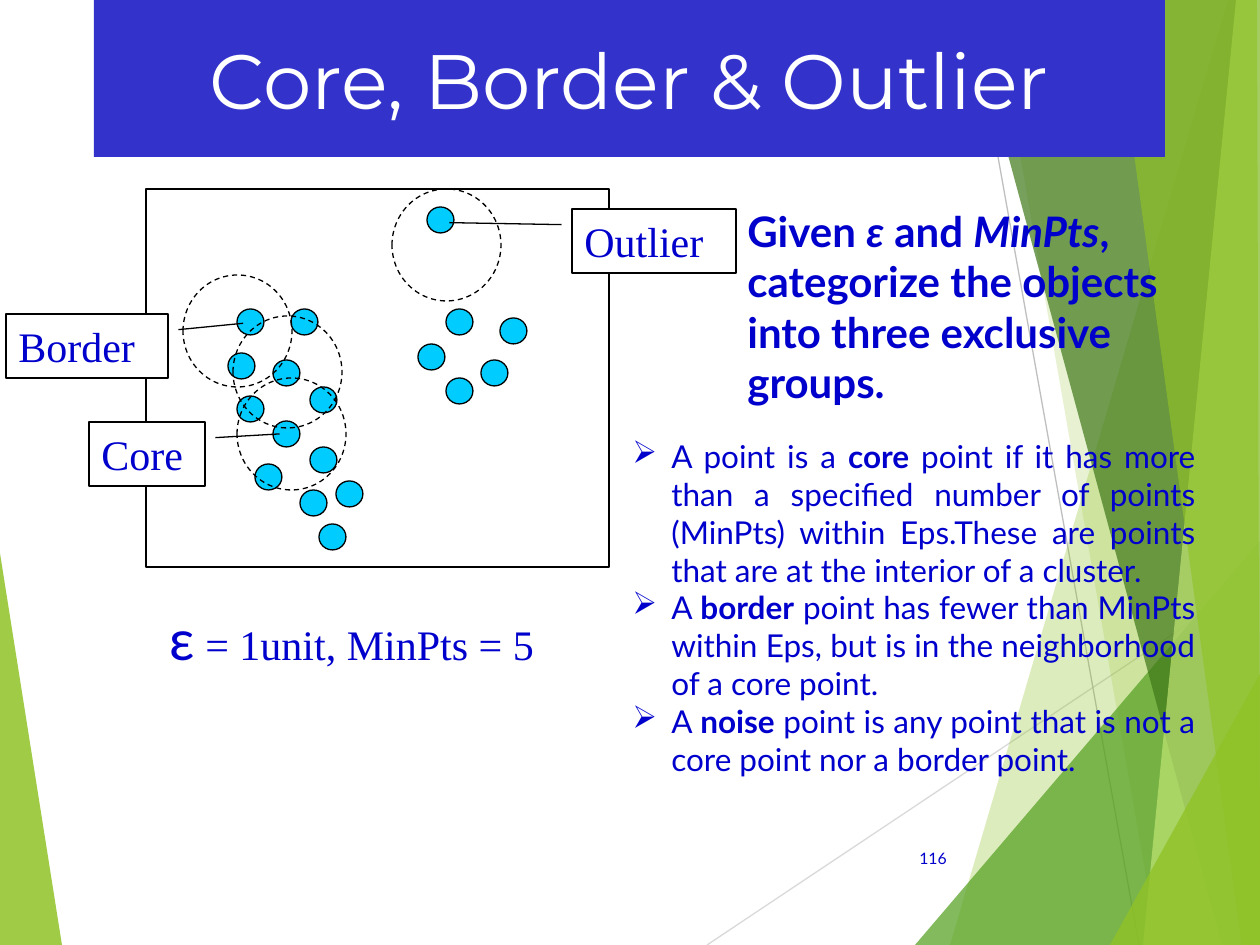
from typing import NamedTuple

from lxml.etree import SubElement
from pptx import Presentation
from pptx.dml.color import RGBColor
from pptx.enum.dml import MSO_LINE
from pptx.enum.shapes import MSO_CONNECTOR, MSO_SHAPE
from pptx.enum.text import MSO_ANCHOR, PP_ALIGN
from pptx.oxml.ns import qn
from pptx.util import Emu, Pt

SCALE = 914400 / 126
WIDE, HIGH = 1260, 945
COLORS = {
    "lime": "90C226", "leaf": "54A021", "moss": "3F7819", "pale": "C0E474",
    "light": "D9D9D9", "gray": "BFBFBF", "title": "3333CC", "text": "0000CC",
    "dot": "00CCFF", "black": "000000", "white": "FFFFFF",
}


class Box(NamedTuple):
    left: int
    top: int
    width: int
    height: int


class Shard(NamedTuple):
    color: str
    alpha: int
    points: list[tuple[int, int]]


class Ray(NamedTuple):
    color: str
    start: tuple[int, int]
    end: tuple[int, int]


class Label(NamedTuple):
    text: str
    box: Box
    tail: tuple[float, ...]


class Part(NamedTuple):
    text: str
    size: int = 24
    font: str = "Lato"
    bold: bool = False
    slant: bool = False
    color: str = "text"


SHARDS = [
    Shard("lime", 85, [(0, 553), (62, HIGH), (0, HIGH)]),
    Shard("lime", 30, [(1228, 0), (950, HIGH), (WIDE, HIGH), (WIDE, 0)]),
    Shard("lime", 20, [(993, 0), (1158, HIGH), (WIDE, HIGH), (WIDE, 0)]),
    Shard("leaf", 72, [(915, HIGH), (WIDE, 541), (WIDE, HIGH)]),
    Shard("moss", 70, [(966, 0), (1222, HIGH), (WIDE, HIGH), (WIDE, 0)]),
    Shard("pale", 70, [(1236, 0), (1143, HIGH), (WIDE, HIGH), (WIDE, 0)]),
    Shard("lime", 65, [(1113, 0), (1242, HIGH), (WIDE, HIGH), (1257, 0)]),
    Shard("lime", 80, [(1110, HIGH), (WIDE, 674), (WIDE, HIGH)]),
]
RAYS = [
    Ray("light", (707, HIGH), (WIDE, 576)),
    Ray("gray", (970, 0), (1139, HIGH)),
]
DOTS = [
    (237, 309), (228, 353), (273, 360), (291, 309), (310, 387), (237, 396),
    (273, 421), (255, 464), (300, 490), (319, 524), (310, 447), (336, 481),
    (427, 207), (446, 309), (418, 344), (481, 360), (500, 318), (446, 378),
]
RINGS = [(183, 275), (237, 378), (392, 189), (233, 316)]
LABELS = [
    Label("Core", Box(89, 422, 116, 64), (0.245, 1.09, 0.187, 1.644)),
    Label("Border", Box(6, 314, 162, 64), (0.245, 1.065, 0.146, 1.464)),
    Label("Outlier", Box(572, 209, 164, 64), (0.245, -0.064, 0.214, -0.747)),
]
GOAL = [
    Part("Given ", bold=True), Part("ε", bold=True, slant=True),
    Part(" and ", bold=True), Part("MinPts", bold=True, slant=True),
    Part(", categorize the objects into three exclusive groups.", bold=True),
]
KINDS = [
    ("A point is a ", "core", " point if it has more than a specified number of "
     "points (MinPts) within Eps.These are points that are at the interior of a "
     "cluster."),
    ("A ", "border", " point has fewer than MinPts within Eps, but is in the "
     "neighborhood of a core point."),
    ("A ", "noise", " point is any point that is not a core point nor a border "
     "point."),
]


def px(count: int) -> Emu:
    return Emu(round(count * SCALE))


def tint(name: str) -> RGBColor:
    return RGBColor.from_string(COLORS[name])


def paint(shape, fill: str = "", line: str = "", dash: bool = False) -> None:
    shape.shadow.inherit = False
    if fill:
        shape.fill.solid()
        shape.fill.fore_color.rgb = tint(fill)
    else:
        shape.fill.background()
    if line:
        shape.line.color.rgb = tint(line)
        shape.line.width = Pt(0.75)
        if dash:
            shape.line.dash_style = MSO_LINE.DASH
    else:
        shape.line.fill.background()


def add_shape(slide, kind: MSO_SHAPE, box: Box, **style):
    shape = slide.shapes.add_shape(kind, *map(px, box))
    paint(shape, **style)
    return shape


def add_shard(slide, shard: Shard) -> None:
    first, *rest = shard.points
    pen = slide.shapes.build_freeform(*first, scale=SCALE)
    pen.add_line_segments(rest, close=True)
    shape = pen.convert_to_shape()
    paint(shape, shard.color)
    color = shape.element.spPr.find(qn("a:solidFill")).find(qn("a:srgbClr"))
    SubElement(color, qn("a:alpha"), val=str(shard.alpha * 1000))


def add_ray(slide, ray: Ray) -> None:
    line = slide.shapes.add_connector(
        MSO_CONNECTOR.STRAIGHT, *map(px, ray.start + ray.end))
    line.line.color.rgb = tint(ray.color)
    line.line.width = Pt(0.75)
    SubElement(line.element.spPr, qn("a:effectLst"))


def write(shape, rows: list[list[Part]], align=PP_ALIGN.LEFT,
          anchor=MSO_ANCHOR.TOP, bullet: str = "") -> None:
    frame = shape.text_frame
    frame.word_wrap = True
    frame.vertical_anchor = anchor
    for index, row in enumerate(rows):
        para = frame.add_paragraph() if index else frame.paragraphs[0]
        para.alignment = align
        if bullet:
            props = para._p.get_or_add_pPr()
            props.set("marL", str(px(39)))
            props.set("indent", str(-px(39)))
            SubElement(props, qn("a:buChar"), char=bullet)
        for part in row:
            run = para.add_run()
            run.text = part.text
            font = run.font
            font.name, font.size = part.font, Pt(part.size)
            font.bold, font.italic = part.bold, part.slant
            font.color.rgb = tint(part.color)


def add_text(slide, box: Box, rows: list[list[Part]], **style) -> None:
    write(slide.shapes.add_textbox(*map(px, box)), rows, **style)


def main() -> None:
    deck = Presentation()
    deck.slide_width, deck.slide_height = px(WIDE), px(HIGH)
    slide = deck.slides.add_slide(deck.slide_layouts[6])

    # Backdrop
    add_shard(slide, SHARDS[0])
    for ray in RAYS:
        add_ray(slide, ray)
    for shard in SHARDS[1:]:
        add_shard(slide, shard)

    # Title and page number
    title = add_shape(slide, MSO_SHAPE.RECTANGLE, Box(94, 0, 1071, 157), fill="title")
    write(title, [[Part("Core, Border & Outlier", 44, "Montserrat", color="white")]],
          align=PP_ALIGN.CENTER, anchor=MSO_ANCHOR.MIDDLE)
    add_text(slide, Box(888, 833, 71, 50), [[Part("116", 9)]],
             align=PP_ALIGN.RIGHT, anchor=MSO_ANCHOR.MIDDLE)

    # Point diagram
    for dot in DOTS:
        add_shape(slide, MSO_SHAPE.OVAL, Box(*dot, 27, 26), fill="dot", line="black")
    add_shape(slide, MSO_SHAPE.RECTANGLE, Box(146, 189, 463, 378), line="black")
    for ring in RINGS:
        add_shape(slide, MSO_SHAPE.OVAL, Box(*ring, 109, 112), line="black", dash=True)
    for label in LABELS:
        shape = add_shape(slide, MSO_SHAPE.LINE_CALLOUT_1, label.box,
                          fill="white", line="black")
        for index, value in enumerate(label.tail):
            shape.adjustments[index] = value
        write(shape, [[Part(label.text, font="Times New Roman")]])
    add_text(slide, Box(157, 598, 400, 80),
             [[Part("ε", 32), Part(" = 1unit, MinPts = 5", font="Times New Roman")]])

    # Explanation
    add_text(slide, Box(735, 199, 504, 220), [GOAL])
    rows = [[Part(lead, 18), Part(term, 18, bold=True), Part(rest, 18)]
            for lead, term, rest in KINDS]
    add_text(slide, Box(620, 431, 588, 356), rows, align=PP_ALIGN.JUSTIFY, bullet="➢")

    deck.save("out.pptx")


if __name__ == "__main__":
    main()
